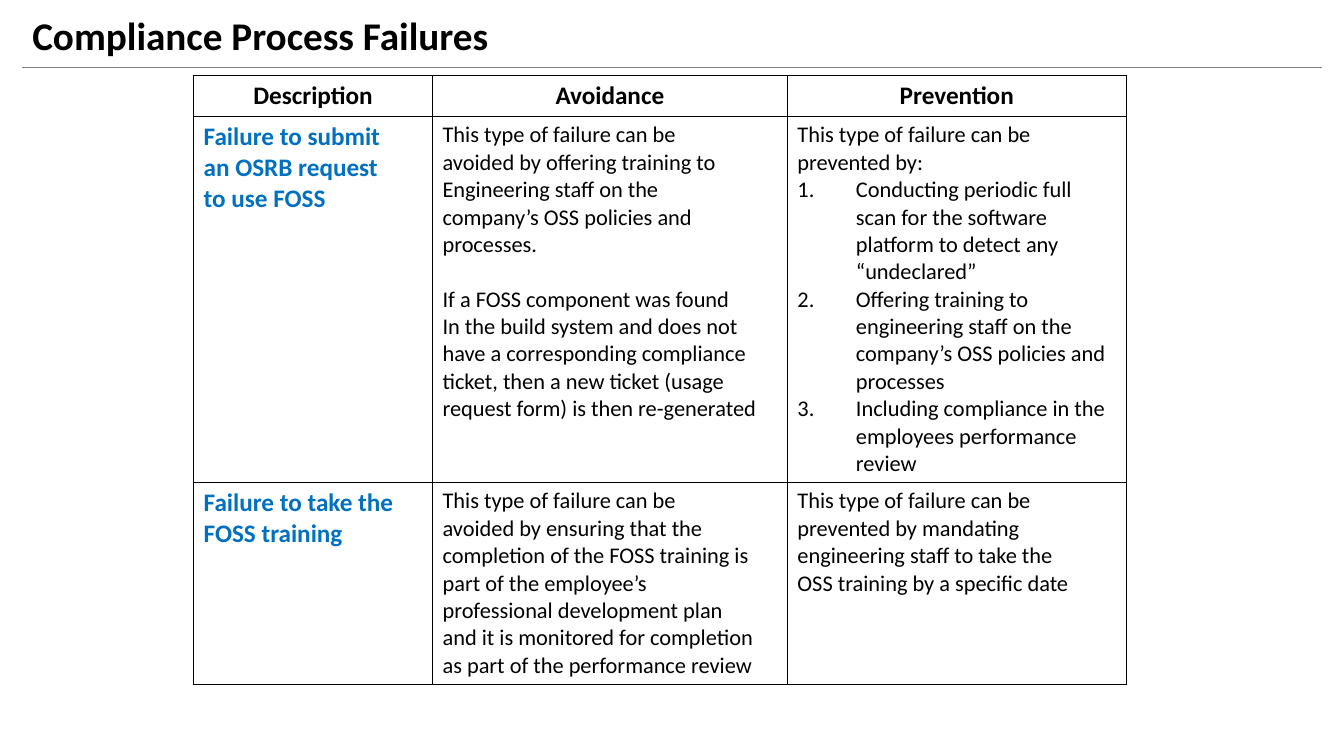
from lxml import etree
from pptx import Presentation
from pptx.dml.color import RGBColor
from pptx.enum.shapes import MSO_CONNECTOR
from pptx.enum.text import MSO_ANCHOR, PP_ALIGN
from pptx.oxml.ns import qn
from pptx.util import Inches, Pt

BLACK = RGBColor(0x00, 0x00, 0x00)
BLUE = RGBColor(0x00, 0x70, 0xC0)
GRAY = RGBColor(0x80, 0x80, 0x80)
FONT = "Calibri"
STRAIGHT = MSO_CONNECTOR.STRAIGHT
MIDDLE = MSO_ANCHOR.MIDDLE
LEFT, CENTER = PP_ALIGN.LEFT, PP_ALIGN.CENTER

COLUMN_WIDTHS = [2.37, 3.52, 3.36]
ROW_HEIGHTS = [0.4, 3.3, 1.97]
HEADINGS = ["Description", "Avoidance", "Prevention"]
# Each cell is a list of blocks; each block is a list of lines
FAILURES = [
    [
        [["Failure to submit", "an OSRB request", "to use FOSS"]],
        [
            ["This type of failure can be", "avoided by offering training to",
             "Engineering staff on the", "company’s OSS policies and", "processes."],
            ["If a FOSS component was found", "In the build system and does not",
             "have a corresponding compliance", "ticket, then a new ticket (usage",
             "request form) is then re-generated"],
        ],
        [["This type of failure can be", "prevented by:"]],
    ],
    [
        [["Failure to take the", "FOSS training"]],
        [["This type of failure can be", "avoided by ensuring that the",
          "completion of the FOSS training is", "part of the employee’s",
          "professional development plan", "and it is monitored for completion",
          "as part of the performance review"]],
        [["This type of failure can be", "prevented by mandating",
          "engineering staff to take the", "OSS training by a specific date"]],
    ],
]
PREVENTION_STEPS = [
    "Conducting periodic full scan for the software platform to detect any “undeclared”",
    "Offering training to engineering staff on the company’s OSS policies and processes",
    "Including compliance in the employees performance review",
]


def style(para, size, color=BLACK, bold=False, align=LEFT):
    para.alignment = align
    font = para.font
    font.name, font.size, font.bold = FONT, Pt(size), bold
    font.color.rgb = color


def number(para):
    props = para._p.get_or_add_pPr()
    props.set("marL", str(Inches(0.58)))
    props.set("indent", str(-Inches(0.58)))
    etree.SubElement(props, qn("a:buFont"), typeface="+mj-lt")
    etree.SubElement(props, qn("a:buAutoNum"), type="arabicPeriod")


def add_line(cell, text):
    frame = cell.text_frame
    para = frame.add_paragraph() if frame.text else frame.paragraphs[0]
    para.text = text
    return para


def outline(cell):
    props = cell._tc.get_or_add_tcPr()
    for side in ("a:lnL", "a:lnR", "a:lnT", "a:lnB"):
        line = etree.SubElement(props, qn(side), w=str(Pt(1)))
        fill = etree.SubElement(line, qn("a:solidFill"))
        etree.SubElement(fill, qn("a:srgbClr"), val=str(BLACK))
    cell.fill.background()


def add_heading(page, left, top, width, height):
    # Title
    title = page.shapes.title
    title.left, title.top = Inches(left), Inches(top)
    title.width, title.height = Inches(width), Inches(height)
    frame = title.text_frame
    frame.text = "Compliance Process Failures"
    frame.vertical_anchor = MIDDLE
    frame.paragraphs[0].line_spacing = 0.9
    style(frame.paragraphs[0], 28, bold=True)
    # Rule below the title
    rule_y = Inches(top + height)
    rule = page.shapes.add_connector(
        STRAIGHT, Inches(left), rule_y, Inches(left + width + 0.13), rule_y)
    rule.line.color.rgb = GRAY
    rule.line.width = Pt(1)
    etree.SubElement(rule._element.spPr, qn("a:effectLst"))


def add_failure_table(page, left, top):
    table = page.shapes.add_table(
        len(ROW_HEIGHTS), len(COLUMN_WIDTHS), Inches(left), Inches(top),
        Inches(sum(COLUMN_WIDTHS)), Inches(sum(ROW_HEIGHTS))).table
    table.first_row = table.horz_banding = False
    for column, width in zip(table.columns, COLUMN_WIDTHS):
        column.width = Inches(width)
    for row, height in zip(table.rows, ROW_HEIGHTS):
        row.height = Inches(height)
    for cell in table.iter_cells():
        outline(cell)

    # Header row
    for column, heading in enumerate(HEADINGS):
        style(add_line(table.cell(0, column), heading), 18, bold=True, align=CENTER)

    # Failure rows
    for row, failure in enumerate(FAILURES, start=1):
        for column, blocks in enumerate(failure):
            for block_index, block in enumerate(blocks):
                for line_index, text in enumerate(block):
                    para = add_line(table.cell(row, column), text)
                    if column == 0:
                        style(para, 18, BLUE, bold=True)
                    else:
                        style(para, 16)
                    if block_index and not line_index:
                        para.space_before = Pt(19.5)

    # Numbered prevention steps
    for step in PREVENTION_STEPS:
        para = add_line(table.cell(1, 2), step)
        style(para, 16)
        number(para)


def main():
    deck = Presentation()
    deck.slide_width, deck.slide_height = Inches(13.33), Inches(7.5)
    page = deck.slides.add_slide(deck.slide_layouts[5])
    add_heading(page, 0.22, 0.08, 12.76, 0.59)
    add_failure_table(page, 1.92, 0.75)
    deck.save("out.pptx")


if __name__ == "__main__":
    main()
